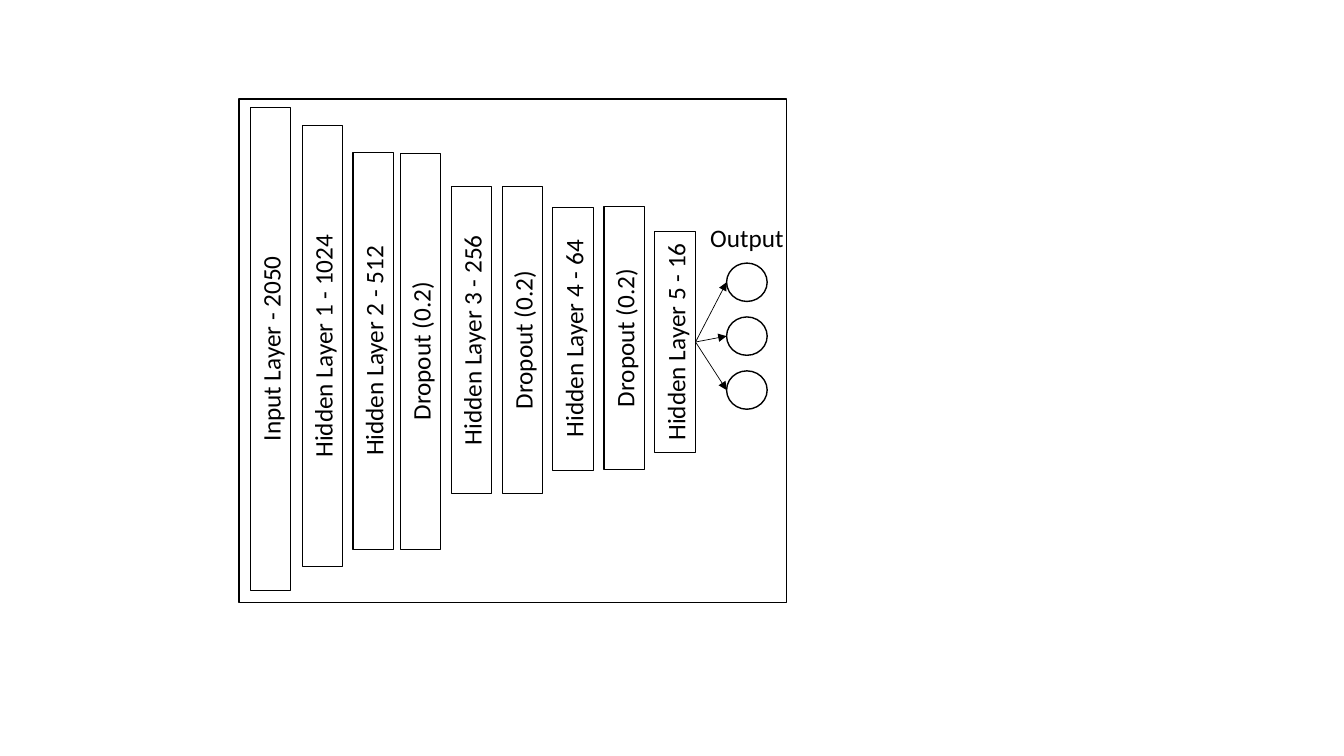
from lxml import etree
from pptx import Presentation
from pptx.dml.color import RGBColor
from pptx.enum import shapes, text
from pptx.oxml import ns
from pptx.util import Pt

COLORS = {"ink": "000000"}
FONT, FONT_SIZE = "Calibri", 18

# label, centre x, centre y, length
LAYERS = [
    ("Input Layer - 2050", 193.3, 249.1, 344.9),
    ("Hidden Layer 1 - 1024", 230.4, 247.2, 314.6),
    ("Hidden Layer 2 - 512", 266.7, 250.7, 283),
    ("Dropout (0.2)", 300.4, 250.9, 283),
    ("Hidden Layer 3 - 256", 336.9, 243, 219.6),
    ("Dropout (0.2)", 373.3, 243, 219.6),
    ("Hidden Layer 4 - 64", 409.5, 241.9, 187.9),
    ("Dropout (0.2)", 446, 241.4, 187.9),
    ("Hidden Layer 5 - 16", 482.3, 244.3, 158.4),
]
LAYER_THICKNESS = 29.08
OUTPUT_LABEL = ("Output", 496.8, 155.5, 73.4, 29.08)
OUTPUT_COUNT, OUTPUT_LEFT, OUTPUT_TOP, OUTPUT_STEP = 3, 519, 187.9, 38.5
OUTPUT_WIDTH, OUTPUT_HEIGHT = 29, 27.4
FRAME = (170.8, 70.7, 391.2, 359.8)


def set_line(line, width):
    """Give a line its colour and width."""
    line.color.rgb = RGBColor.from_string(COLORS["ink"])
    line.width = Pt(width)


def add_outline(group, kind, box, width):
    """Add an unfilled, outlined preset shape."""
    shape = group.shapes.add_shape(kind, *map(Pt, box))
    shape.shadow.inherit = False
    shape.fill.background()
    set_line(shape.line, width)
    return shape


def write_label(shape, label, wrap):
    """Write one centred line of text in a shape."""
    frame = shape.text_frame
    frame.text = label
    frame.word_wrap = wrap
    frame.auto_size = text.MSO_AUTO_SIZE.SHAPE_TO_FIT_TEXT
    paragraph = frame.paragraphs[0]
    paragraph.alignment = text.PP_ALIGN.CENTER
    font = paragraph.runs[0].font
    font.name, font.size = FONT, Pt(FONT_SIZE)
    font.color.rgb = RGBColor.from_string(COLORS["ink"])


def add_layer(group, label, center_x, center_y, length):
    """Add a layer bar turned to read upwards."""
    box = (center_x - length / 2, center_y - LAYER_THICKNESS / 2,
           length, LAYER_THICKNESS)
    bar = add_outline(group, shapes.MSO_SHAPE.RECTANGLE, box, 0.75)
    bar.rotation = 270
    write_label(bar, label, True)


def add_arrow(group, start, end):
    """Add a thin arrow between two points."""
    arrow = group.shapes.add_connector(
        shapes.MSO_CONNECTOR.STRAIGHT, *map(Pt, start + end))
    set_line(arrow.line, 0.5)
    etree.SubElement(arrow.line._get_or_add_ln(), ns.qn("a:tailEnd"),
                     type="triangle")
    etree.SubElement(arrow._element.spPr, ns.qn("a:effectLst"))


presentation = Presentation()
presentation.slide_width, presentation.slide_height = Pt(960), Pt(540)
slide = presentation.slides.add_slide(presentation.slide_layouts[6])
network = slide.shapes.add_group_shape()

for layer in LAYERS:
    add_layer(network, *layer)

output_tops = [OUTPUT_TOP + i * OUTPUT_STEP for i in range(OUTPUT_COUNT)]
for top in output_tops:
    add_outline(network, shapes.MSO_SHAPE.OVAL,
                (OUTPUT_LEFT, top, OUTPUT_WIDTH, OUTPUT_HEIGHT), 1)

label, *label_box = OUTPUT_LABEL
write_label(network.shapes.add_textbox(*map(Pt, label_box)), label, True)

last_x, last_y = LAYERS[-1][1:3]
for top in output_tops:
    add_arrow(network, (last_x + LAYER_THICKNESS / 2, last_y),
              (OUTPUT_LEFT, top + OUTPUT_HEIGHT / 2))

add_outline(network, shapes.MSO_SHAPE.RECTANGLE, FRAME, 1)

presentation.save("out.pptx")
